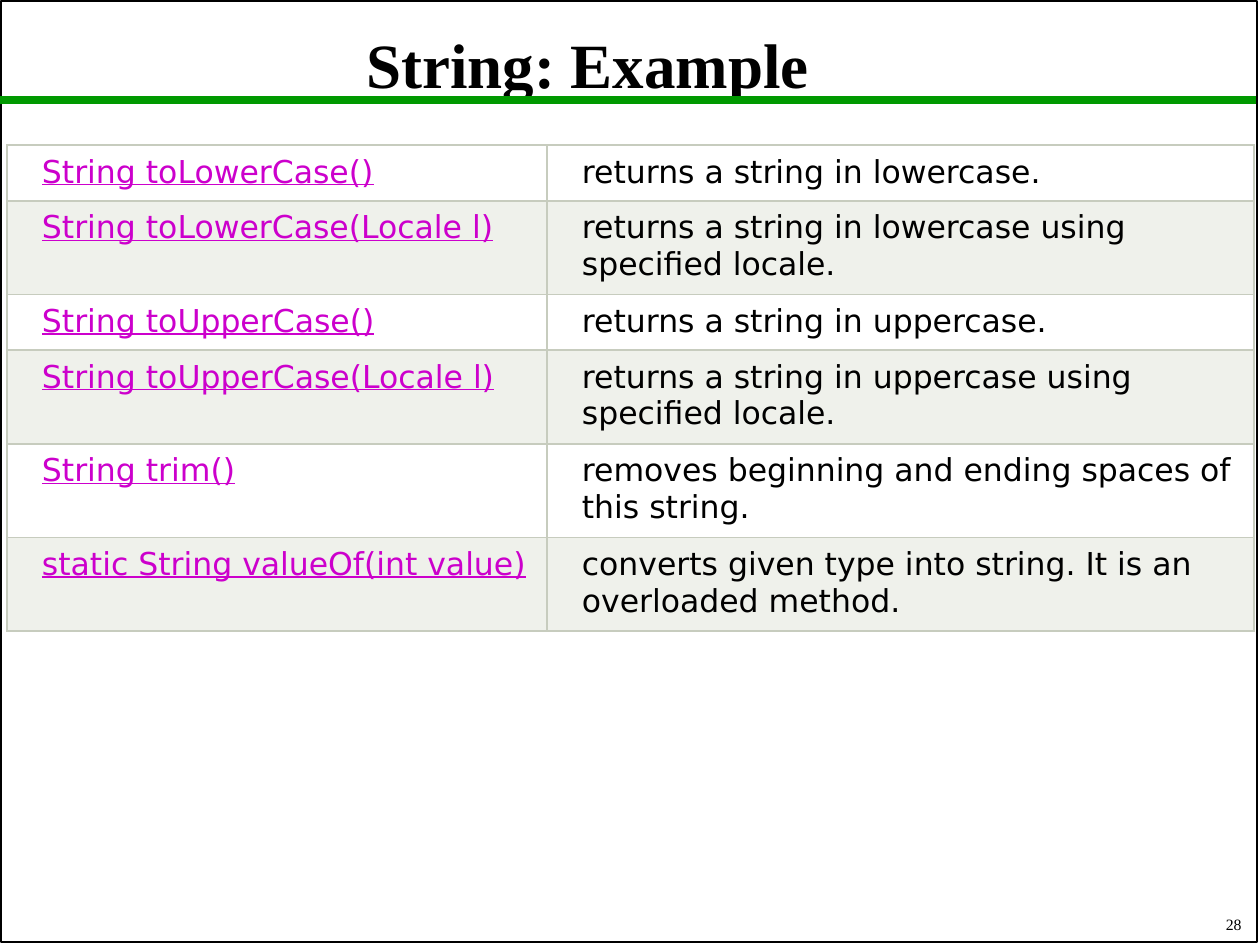
from lxml import etree
from pptx import Presentation
from pptx.dml.color import RGBColor
from pptx.enum.shapes import MSO_CONNECTOR, MSO_SHAPE
from pptx.enum.text import MSO_ANCHOR, PP_ALIGN
from pptx.oxml.ns import qn
from pptx.util import Pt

SCALE = 914400 / 126
RECT = MSO_SHAPE.RECTANGLE
LINE = MSO_CONNECTOR.STRAIGHT
MIDDLE, BOTTOM = MSO_ANCHOR.MIDDLE, MSO_ANCHOR.BOTTOM
CENTER, RIGHT, LEFT = PP_ALIGN.CENTER, PP_ALIGN.RIGHT, PP_ALIGN.LEFT

BLACK, WHITE, PALE = "000000", "FFFFFF", "EFF1EB"
GREEN, PINK, EDGE = "009900", "CC00CC", "C7CCBE"
SERIF, SANS = "Times New Roman", "DejaVu Sans"

METHODS = [
    ("String toLowerCase()", "returns a string in lowercase."),
    ("String toLowerCase(Locale l)",
     "returns a string in lowercase using specified locale."),
    ("String toUpperCase()", "returns a string in uppercase."),
    ("String toUpperCase(Locale l)",
     "returns a string in uppercase using specified locale."),
    ("String trim()", "removes beginning and ending spaces of this string."),
    ("static String valueOf(int value)",
     "converts given type into string. It is an overloaded method."),
]


def px(*sizes):
    return [round(size * SCALE) for size in sizes]


def color(code):
    return RGBColor.from_string(code)


def apply(item, values):
    for name, value in values.items():
        setattr(item, name, value)


class Deck:
    """Holds the text styles and the current slide."""
    title_font = {"name": SERIF, "size": Pt(36), "bold": True}
    page_font = {"name": SERIF, "size": Pt(9)}
    cell_font = {"name": SANS, "size": Pt(18), "bold": False}

    def __init__(self, wide, high):
        self.prs = Presentation()
        self.prs.slide_width, self.prs.slide_height = px(wide, high)
        self.slide = self.prs.slides.add_slide(self.prs.slide_layouts[5])
        self.shapes = self.slide.shapes

    def text(self, frame, words, font, tint=BLACK, align=LEFT):
        para = frame.paragraphs[0]
        para.alignment = align
        run = para.add_run()
        run.text = words
        apply(run.font, font)
        run.font.color.rgb = color(tint)
        return para, run

    def stroke(self, shape, tint, width):
        shape.line.color.rgb = color(tint)
        shape.line.width = Pt(width)

    def frame(self, *box):
        shape = self.shapes.add_shape(RECT, *px(*box))
        shape.shadow.inherit = False
        shape.fill.background()
        self.stroke(shape, BLACK, 1)

    def rule(self, *ends):
        line = self.shapes.add_connector(LINE, *px(*ends))
        self.stroke(line, GREEN, 4.5)
        etree.SubElement(line._element.spPr, qn("a:effectLst"))

    def title(self, words, *box):
        shape = self.shapes.title
        apply(shape, dict(zip(("left", "top", "width", "height"), px(*box))))
        shape.text_frame.vertical_anchor = MIDDLE
        para, _ = self.text(shape.text_frame, words, self.title_font,
                            align=CENTER)
        para.line_spacing = 0.9

    def page(self, words, *box):
        frame = self.shapes.add_textbox(*px(*box)).text_frame
        apply(frame, {"word_wrap": True, "vertical_anchor": BOTTOM})
        self.text(frame, words, self.page_font, align=RIGHT)

    def border(self, cell):
        props = cell._tc.get_or_add_tcPr()
        for spot, side in enumerate(("lnL", "lnR", "lnT", "lnB")):
            line = etree.Element(qn("a:" + side), w=str(Pt(1)))
            fill = etree.SubElement(line, qn("a:solidFill"))
            etree.SubElement(fill, qn("a:srgbClr"), val=EDGE)
            props.insert(spot, line)

    def cell(self, cell, words, tint, under, back):
        pad, indent = px(9, 26)
        sides = ("left", "right", "top", "bottom")
        apply(cell, {"margin_" + side: pad for side in sides})
        cell.fill.solid()
        cell.fill.fore_color.rgb = color(back)
        para, run = self.text(cell.text_frame, words, self.cell_font, tint)
        run.font.underline = under
        para._p.get_or_add_pPr().set("marL", str(indent))
        self.border(cell)

    def table(self, rows, left, top, widths, high):
        """Draw the rows; each one grows from the height high to fit."""
        table = self.shapes.add_table(
            len(rows), len(widths),
            *px(left, top, sum(widths), high * len(rows))).table
        apply(table, {"first_row": False, "horz_banding": False})
        for col, width in zip(table.columns, px(*widths)):
            col.width = width
        for num, (name, note) in enumerate(rows):
            back = PALE if num % 2 else WHITE
            self.cell(table.cell(num, 0), name, PINK, True, back)
            self.cell(table.cell(num, 1), note, BLACK, False, back)


def main():
    deck = Deck(1260, 945)
    deck.frame(1, 1, 1256, 941)
    deck.rule(0, 100, 1256, 100)
    deck.title("String: Example", 10, 10, 1155, 116)
    deck.page("28", 992, 903, 262, 37)
    deck.table(METHODS, 7, 145, (540, 707), 44)
    deck.prs.save("out.pptx")


if __name__ == "__main__":
    main()
